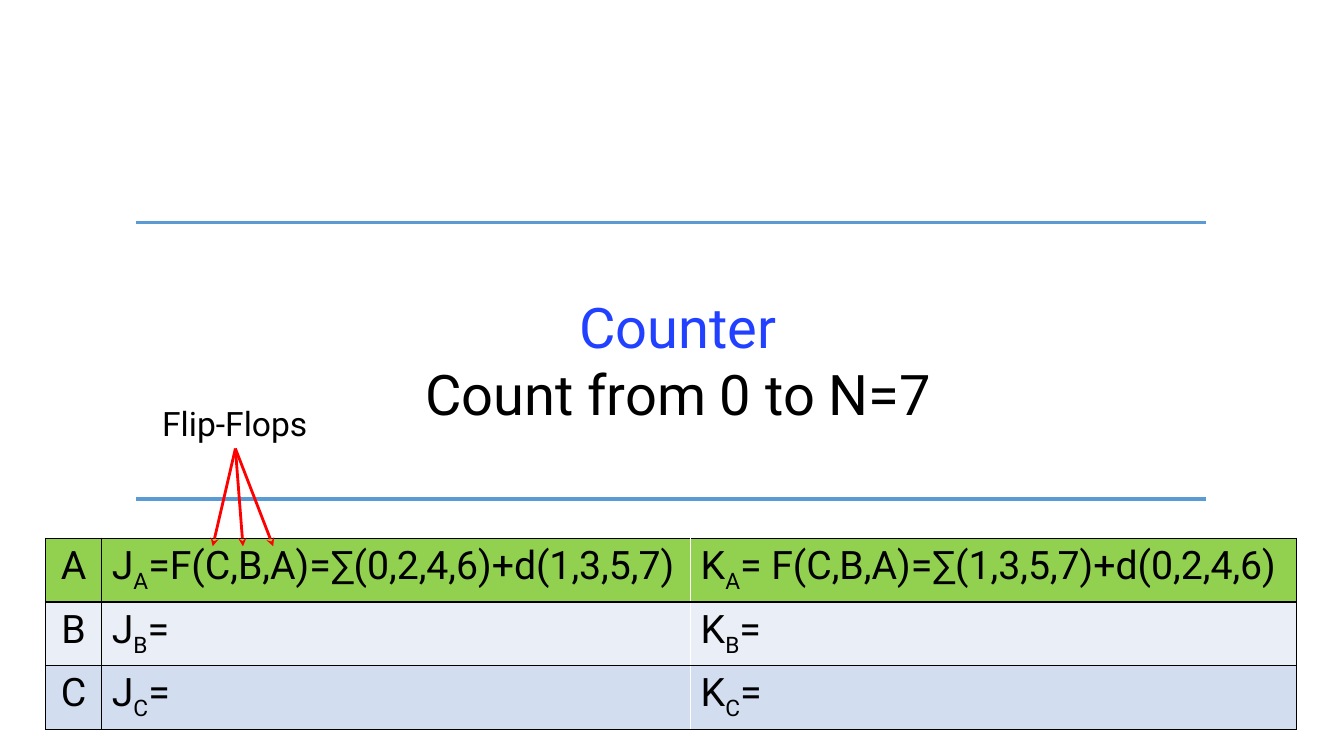
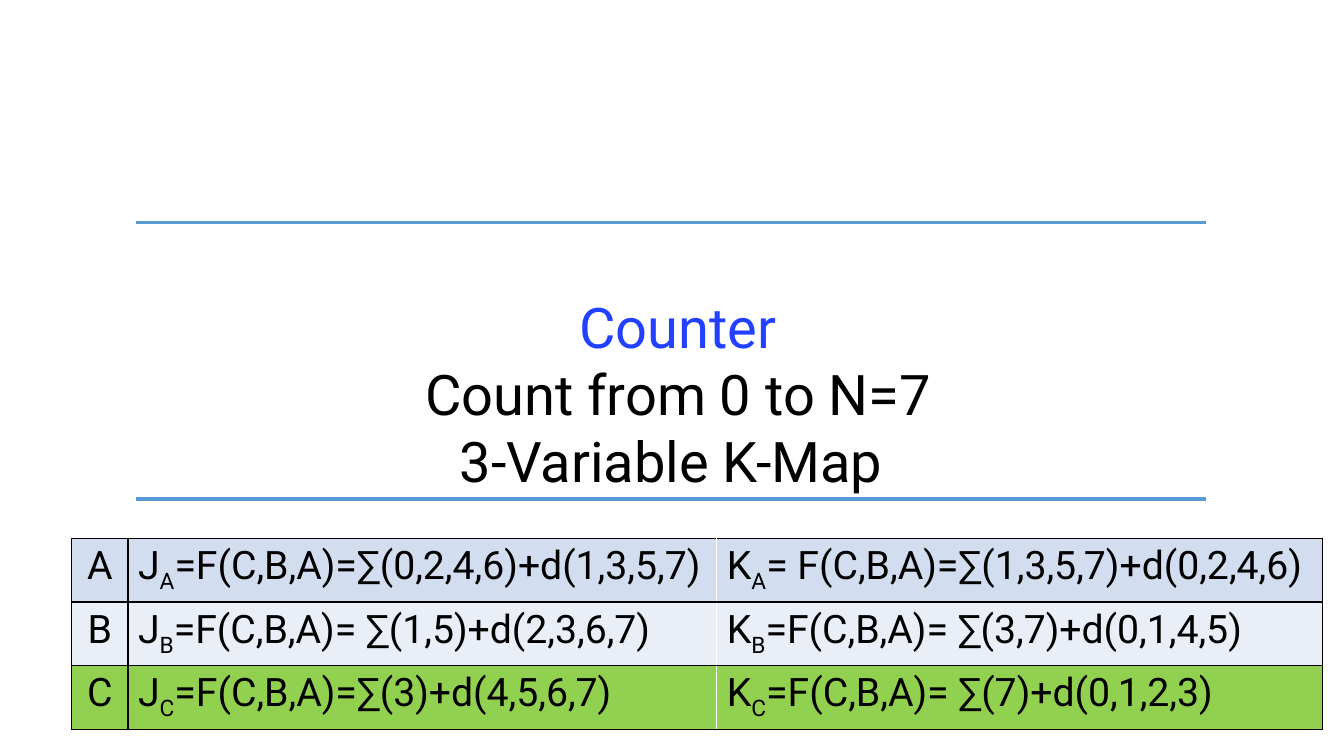
from lxml import etree
from pptx import Presentation
from pptx.dml.color import RGBColor
from pptx.enum import shapes, text
from pptx.oxml import ns
from pptx.util import Inches, Pt

BLACK = RGBColor(0x00, 0x00, 0x00)
WHITE = RGBColor(0xFF, 0xFF, 0xFF)
TITLE_BLUE = RGBColor(0x22, 0x40, 0xFF)
RULE_BLUE = RGBColor(0x5B, 0x9B, 0xD5)
ARROW_RED = RGBColor(0xFF, 0x00, 0x00)
HIGHLIGHT = RGBColor(0x92, 0xD0, 0x50)
BAND_DARK = RGBColor(0xD2, 0xDE, 0xEF)
BAND_LIGHT = RGBColor(0xEA, 0xEF, 0xF7)

FLIP_FLOPS = "ABC"
COLUMN_WIDTHS = (0.56, 5.84, 6.01)
ROW_HEIGHT = 0.63
TABLE_TOP = 5.34
RULE_LEFT, RULE_RIGHT = 1.35, 11.96
RULE_TOPS = (2.21, 4.95)
J_A = "=F(C,B,A)=∑(0,2,4,6)+d(1,3,5,7)"
K_A = "= F(C,B,A)=∑(1,3,5,7)+d(0,2,4,6)"


class Deck:
    font_name = "Roboto"

    def __init__(self):
        self.presentation = Presentation()
        self.presentation.slide_width = Inches(13.33)
        self.presentation.slide_height = Inches(7.5)
        self.slide = None

    def add_slide(self, *title_lines):
        """Start a slide with the two rules and the centred title."""
        self.slide = self.presentation.slides.add_slide(self.presentation.slide_layouts[6])
        for top in RULE_TOPS:
            self.line((RULE_LEFT, top), (RULE_RIGHT, top), RULE_BLUE, 2.5)
        title = self.text_box(1.22, 2.85, 11.01, 2.1, title_lines, 40)
        for paragraph in title.text_frame.paragraphs:
            paragraph.alignment = text.PP_ALIGN.CENTER
        title.text_frame.paragraphs[0].runs[0].font.color.rgb = TITLE_BLUE

    def style(self, run, size):
        run.font.name = self.font_name
        run.font.size = Pt(size)
        run.font.color.rgb = BLACK

    def text_box(self, left, top, width, height, lines, size, wrap=True):
        box = self.slide.shapes.add_textbox(*map(Inches, (left, top, width, height)))
        frame = box.text_frame
        frame.word_wrap = wrap
        frame.text = "\n".join(lines)
        for paragraph in frame.paragraphs:
            self.style(paragraph.runs[0], size)
        return box

    def line(self, start, end, color, width):
        connector = self.slide.shapes.add_connector(
            shapes.MSO_CONNECTOR.STRAIGHT, *map(Inches, start + end))
        connector.line.color.rgb = color
        connector.line.width = Pt(width)
        etree.SubElement(connector._element.spPr, ns.qn("a:effectLst"))
        return connector

    def arrow_from_below(self, box, end):
        """Draw an arrow from the middle of the box's lower side."""
        arrow = self.line(end, end, ARROW_RED, 2)
        arrow.begin_connect(box, 2)
        etree.SubElement(arrow.line._get_or_add_ln(), ns.qn("a:tailEnd"), type="stealth")

    def border(self, cell, side, color):
        line = etree.SubElement(cell._tc.get_or_add_tcPr(), ns.qn("a:ln" + side),
                                w=str(Pt(1)))
        fill = etree.SubElement(line, ns.qn("a:solidFill"))
        etree.SubElement(fill, ns.qn("a:srgbClr"), val=str(color))

    def equation(self, paragraph, letter, index, expression):
        """Write a letter with its subscript, then the expression."""
        for part in (letter, index, expression):
            run = paragraph.add_run()
            run.text = part
            self.style(run, 28)
        paragraph.runs[1]._r.get_or_add_rPr().set("baseline", "-25000")

    def flip_flop_table(self, left, equations, fills):
        table = self.slide.shapes.add_table(
            len(FLIP_FLOPS), len(COLUMN_WIDTHS), Inches(left), Inches(TABLE_TOP),
            Inches(sum(COLUMN_WIDTHS)), Inches(ROW_HEIGHT * len(FLIP_FLOPS))).table
        table.first_row = table.horz_banding = False
        for column, width in zip(table.columns, COLUMN_WIDTHS):
            column.width = Inches(width)
        for row, name, inputs, fill in zip(table.rows, FLIP_FLOPS, equations, fills):
            name_cell, *input_cells = row.cells
            name_cell.text_frame.text = name
            paragraph = name_cell.text_frame.paragraphs[0]
            paragraph.alignment = text.PP_ALIGN.CENTER
            self.style(paragraph.runs[0], 28)
            for cell, letter, expression in zip(input_cells, "JK", inputs):
                self.equation(cell.text_frame.paragraphs[0], letter, name, expression)
            for index, cell in enumerate(row.cells):
                self.border(cell, "L", WHITE if index == 2 else BLACK)
                self.border(cell, "R", WHITE if index == 1 else BLACK)
                self.border(cell, "T", BLACK)
                self.border(cell, "B", BLACK)
                cell.fill.solid()
                cell.fill.fore_color.rgb = fill


def main():
    deck = Deck()

    deck.add_slide("Counter", "Count from 0 to N=7")
    deck.flip_flop_table(0.45, [(J_A, K_A), ("=", "="), ("=", "=")],
                         [HIGHLIGHT, BAND_LIGHT, BAND_DARK])
    label = deck.text_box(1.51, 3.95, 1.65, 0.5, ["Flip-Flops"], 24, wrap=False)
    for variable in range(len(FLIP_FLOPS)):
        deck.arrow_from_below(label, (2.11 + 0.3 * variable, 5.42))

    deck.add_slide("Counter", "Count from 0 to N=7", "3-Variable K-Map ")
    deck.flip_flop_table(0.71, [
        (J_A, K_A),
        ("=F(C,B,A)= ∑(1,5)+d(2,3,6,7)", "=F(C,B,A)= ∑(3,7)+d(0,1,4,5)"),
        ("=F(C,B,A)=∑(3)+d(4,5,6,7)", "=F(C,B,A)= ∑(7)+d(0,1,2,3)"),
    ], [BAND_DARK, BAND_LIGHT, HIGHLIGHT])

    deck.presentation.save("out.pptx")


if __name__ == "__main__":
    main()
